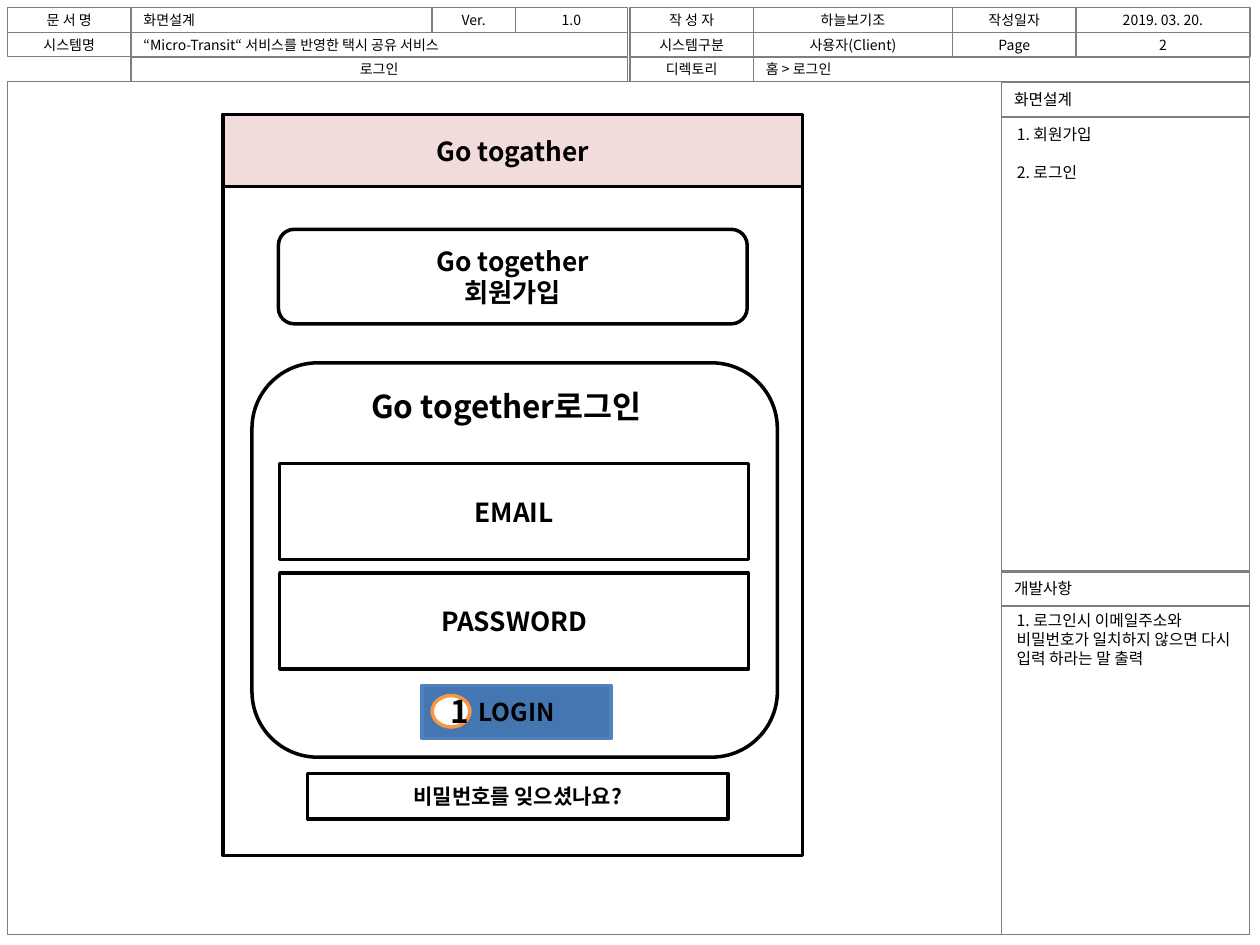
from dataclasses import dataclass

from lxml.etree import SubElement
from pptx import Presentation
from pptx.dml.color import RGBColor
from pptx.enum.shapes import MSO_SHAPE
from pptx.enum.text import MSO_ANCHOR, MSO_AUTO_SIZE, PP_ALIGN
from pptx.oxml.ns import qn
from pptx.util import Inches, Pt

COLUMNS, ROWS = 100, 75


@dataclass(frozen=True)
class Theme:
    font: str = "Noto Sans CJK KR"
    text: str = "000000"
    grid: str = "7F7F7F"
    outline: str = "000000"
    paper: str = "FFFFFF"
    banner: str = "F2DCDB"
    button: str = "4476B2"
    button_edge: str = "4F81BD"
    marker: str = "F79646"
    cell: float = 8
    note: float = 9
    link: float = 12
    login: float = 14
    control: float = 15
    heading: float = 18
    thin: float = 0.75
    thick: float = 2


class Wireframe:
    def __init__(self, presentation, theme):
        self.theme = theme
        self.column = presentation.slide_width / COLUMNS
        self.row = presentation.slide_height / ROWS
        self.slide = presentation.slides.add_slide(presentation.slide_layouts[1])

    def area(self, left, top, width, height):
        return (round(left * self.column), round(top * self.row),
                round(width * self.column), round(height * self.row))

    def set_text(self, shape, lines, size, bold=False, align=PP_ALIGN.CENTER,
                 anchor=MSO_ANCHOR.MIDDLE, gap=0):
        frame = shape.text_frame
        frame.word_wrap = True
        frame.auto_size = MSO_AUTO_SIZE.NONE
        frame.vertical_anchor = anchor
        frame.text = "\n".join(lines)
        for index, paragraph in enumerate(frame.paragraphs):
            paragraph.alignment = align
            paragraph.space_before = Pt(gap if index else 0)
            properties = paragraph._p.get_or_add_pPr()
            properties.set("marL", "0")
            properties.set("indent", "0")
            SubElement(properties, qn("a:buNone"))
            font = paragraph.font
            font.name, font.size, font.bold = self.theme.font, Pt(size), bold
            font.color.rgb = RGBColor.from_string(self.theme.text)
            east_asian = SubElement(properties.find(qn("a:defRPr")), qn("a:ea"))
            east_asian.set("typeface", self.theme.font)

    def box(self, area, fill, line, weight, kind=MSO_SHAPE.RECTANGLE):
        shape = self.slide.shapes.add_shape(kind, *self.area(*area))
        shape.shadow.inherit = False
        if fill:
            shape.fill.solid()
            shape.fill.fore_color.rgb = RGBColor.from_string(fill)
        else:
            shape.fill.background()
        shape.line.color.rgb = RGBColor.from_string(line)
        shape.line.width = Pt(weight)
        return shape

    def cell(self, area, text="", size=None, align=PP_ALIGN.CENTER):
        shape = self.box(area, None, self.theme.grid, self.theme.thin)
        if text:
            self.set_text(shape, [text], size or self.theme.cell, align=align)

    def control(self, area, lines=(), size=None, fill=None, line=None,
                kind=MSO_SHAPE.RECTANGLE):
        theme = self.theme
        shape = self.box(area, fill or theme.paper, line or theme.outline, theme.thick, kind)
        if lines:
            self.set_text(shape, lines, size or theme.control, bold=True)

    def label(self, area, text, size, **style):
        shape = self.slide.shapes.add_textbox(*self.area(*area))
        self.set_text(shape, [text], size, **style)

    def placeholder(self, index, area, lines, size, **style):
        shape = self.slide.placeholders[index]
        shape.left, shape.top, shape.width, shape.height = self.area(*area)
        self.set_text(shape, lines, size, **style)


def draw_header(page):
    top, height = 0.6, 1.96
    left, label_end, version, number, middle = 0.6, 10.4, 34.3, 40.9, 49.8
    second, owner, date, value, right = 50, 59.8, 75.6, 85.4, 99.2
    cells = [
        (0, left, label_end, "문 서 명"),
        (0, label_end, version, "화면설계", PP_ALIGN.LEFT),
        (0, version, number, "Ver."),
        (0, number, middle, "1.0"),
        (0, second, owner, "작 성 자"),
        (0, owner, date, "하늘보기조"),
        (0, date, value, "작성일자"),
        (0, value, right, "2019. 03. 20."),
        (1, left, label_end, "시스템명"),
        (1, label_end, middle, "“Micro-Transit“ 서비스를 반영한 택시 공유 서비스", PP_ALIGN.LEFT),
        (1, second, owner, "시스템구분"),
        (1, owner, date, "사용자(Client)"),
        (1, date, value, "Page"),
        (1, value, right, "2"),
        (2, label_end, middle, ""),
        (2, second, owner, "디렉토리"),
        (2, owner, right, "홈 > 로그인", PP_ALIGN.LEFT),
    ]
    for row, start, end, text, *align in cells:
        page.cell((start, top + row * height, end - start, height), text,
                  align=align[0] if align else PP_ALIGN.CENTER)
    page.placeholder(0, (label_end, top + 2 * height, middle - label_end, height),
                     ["로그인"], page.theme.cell)


def draw_notes(page):
    left, width = 79.5, 19.7
    note = page.theme.note
    page.cell((0.6, 6.5, 98.6, 67.7))
    for top, title_height, height, title in [(6.5, 2.8, 36.1, "화면설계"),
                                             (45.3, 2.8, 26.1, "개발사항")]:
        page.cell((left, top, width, title_height), title, note, PP_ALIGN.LEFT)
        page.cell((left, top + title_height, width, height))
    style = {"align": PP_ALIGN.LEFT, "anchor": MSO_ANCHOR.TOP}
    page.placeholder(1, (79.7, 9.4, 20.3, 5.7), ["1. 회원가입", "2. 로그인"],
                     note, gap=10.8, **style)
    page.label((79.7, 48, 19.5, 5.5),
               "1. 로그인시 이메일주소와 비밀번호가 일치하지 않으면 다시 입력 하라는 말 출력",
               note, **style)


def draw_login_screen(page):
    theme = page.theme
    rounded = MSO_SHAPE.ROUNDED_RECTANGLE
    page.control((17.7, 9.1, 46, 58.8))
    page.control((17.7, 9.1, 46, 5.7), ["Go togather"], fill=theme.banner)
    page.control((22.1, 18.2, 37.2, 7.5), ["Go together", "회원가입"], kind=rounded)
    page.control((20, 28.8, 41.7, 31.3), kind=rounded)
    for index, field in enumerate(["EMAIL", "PASSWORD"]):
        page.control((22.2, 36.8 + 8.7 * index, 37.2, 7.6), [field])
    page.control((24.4, 61.4, 33.4, 3.6), ["비밀번호를 잊으셨나요?"], theme.link)
    page.label((24.1, 30.2, 32.2, 4), "Go together로그인", theme.heading, bold=True)
    page.control((33.5, 54.4, 15, 4.2), ["LOGIN"], theme.login,
                 fill=theme.button, line=theme.button_edge)
    page.control((34.3, 55.2, 3, 2.5), ["1"], theme.heading,
                 line=theme.marker, kind=MSO_SHAPE.OVAL)


def main():
    presentation = Presentation()
    presentation.slide_width, presentation.slide_height = Inches(10), Inches(7.5)
    page = Wireframe(presentation, Theme())
    draw_header(page)
    draw_notes(page)
    draw_login_screen(page)
    presentation.save("out.pptx")


if __name__ == "__main__":
    main()
